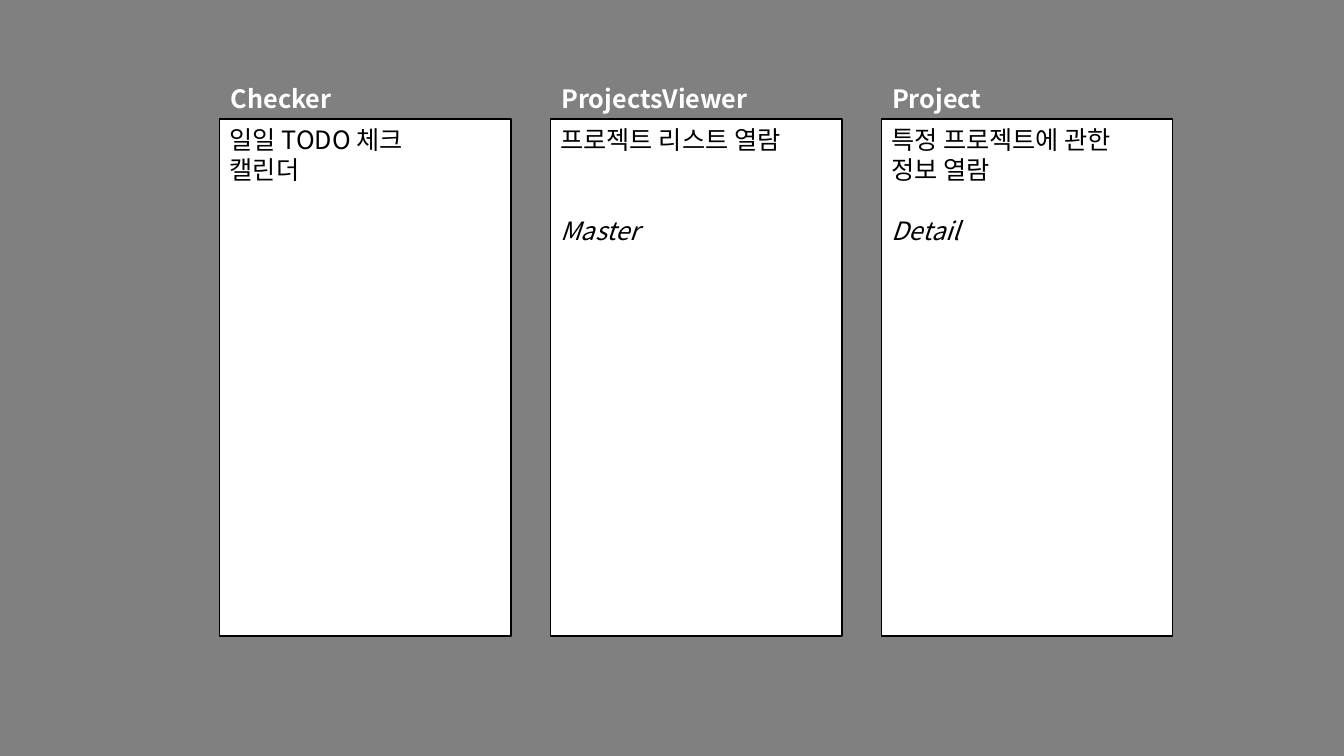
from dataclasses import dataclass

import pptx
import pptx.dml.color
import pptx.enum.shapes
import pptx.enum.text
import pptx.oxml.ns
import pptx.util
from lxml import etree

Inches = pptx.util.Inches
Pt = pptx.util.Pt


@dataclass(frozen=True)
class Theme:
    font: str = "Noto Sans CJK KR"
    size: float = 18
    line_pitch: float = 21.8
    border: float = 1
    backdrop: str = "808080"
    panel: str = "FFFFFF"
    ink: str = "000000"
    heading: str = "FFFFFF"


def color(value):
    return pptx.dml.color.RGBColor.from_string(value)


class PageBuilder:
    def __init__(self, page, theme):
        self.page = page
        self.theme = theme
        fill = page.background.fill
        fill.solid()
        fill.fore_color.rgb = color(theme.backdrop)

    def add_lines(self, box, lines, ink):
        """Fill box with (text, blank lines above, font format) entries."""
        frame = box.text_frame
        frame.word_wrap = True
        frame.vertical_anchor = pptx.enum.text.MSO_ANCHOR.TOP
        for index, (text, lines_above, extra) in enumerate(lines):
            para = frame.add_paragraph() if index else frame.paragraphs[0]
            layout = {
                "alignment": pptx.enum.text.PP_ALIGN.LEFT,
                "line_spacing": Pt(self.theme.line_pitch),
                "space_before": Pt(lines_above * self.theme.line_pitch),
            }
            for name, value in layout.items():
                setattr(para, name, value)
            span = para.add_run()
            span.text = text
            style = {"name": self.theme.font, "size": Pt(self.theme.size), **extra}
            for name, value in style.items():
                setattr(span.font, name, value)
            span.font.color.rgb = color(ink)
            east_asian = etree.SubElement(
                span.font._element, pptx.oxml.ns.qn("a:ea"))
            east_asian.set("typeface", self.theme.font)

    def heading(self, text, left, top, width, height):
        box = self.page.shapes.add_textbox(
            *map(Inches, (left, top, width, height)))
        self.add_lines(box, [(text, 0, {"bold": True})], self.theme.heading)

    def panel(self, lines, left, top, width, height):
        box = self.page.shapes.add_shape(
            pptx.enum.shapes.MSO_SHAPE.RECTANGLE,
            *map(Inches, (left, top, width, height)))
        box.shadow.inherit = False
        box.fill.solid()
        box.fill.fore_color.rgb = color(self.theme.panel)
        box.line.color.rgb = color(self.theme.ink)
        box.line.width = Pt(self.theme.border)
        self.add_lines(box, lines, self.theme.ink)


def main():
    deck = pptx.Presentation()
    deck.slide_width = Inches(13.33)
    deck.slide_height = Inches(7.5)
    blank_layout = deck.slide_layouts[6]
    builder = PageBuilder(deck.slides.add_slide(blank_layout), Theme())

    italic = {"italic": True}
    screens = [
        ("Checker", [("일일 TODO 체크", 0, {}), ("캘린더", 0, {})]),
        ("ProjectsViewer", [("프로젝트 리스트 열람", 0, {}), ("Master", 2, italic)]),
        ("Project", [("특정 프로젝트에 관한", 0, {}), ("정보 열람", 0, {}),
                     ("Detail", 1, italic)]),
    ]
    first_left, step = 2.18, 3.28
    for column, (name, lines) in enumerate(screens):
        left = first_left + column * step
        builder.panel(lines, left, 1.18, 2.89, 5.13)
        builder.heading(name, left + 0.01, 0.77, 2.88, 0.4)

    deck.save("out.pptx")


if __name__ == "__main__":
    main()
